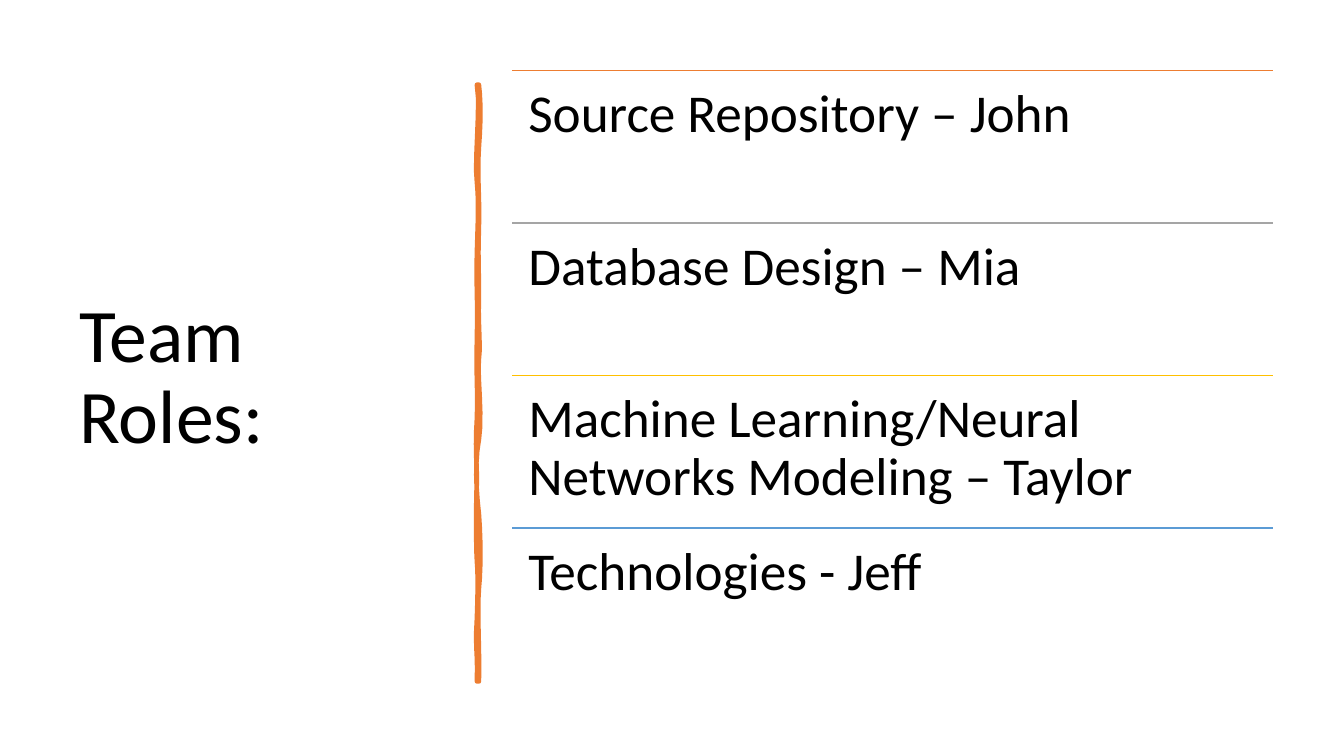
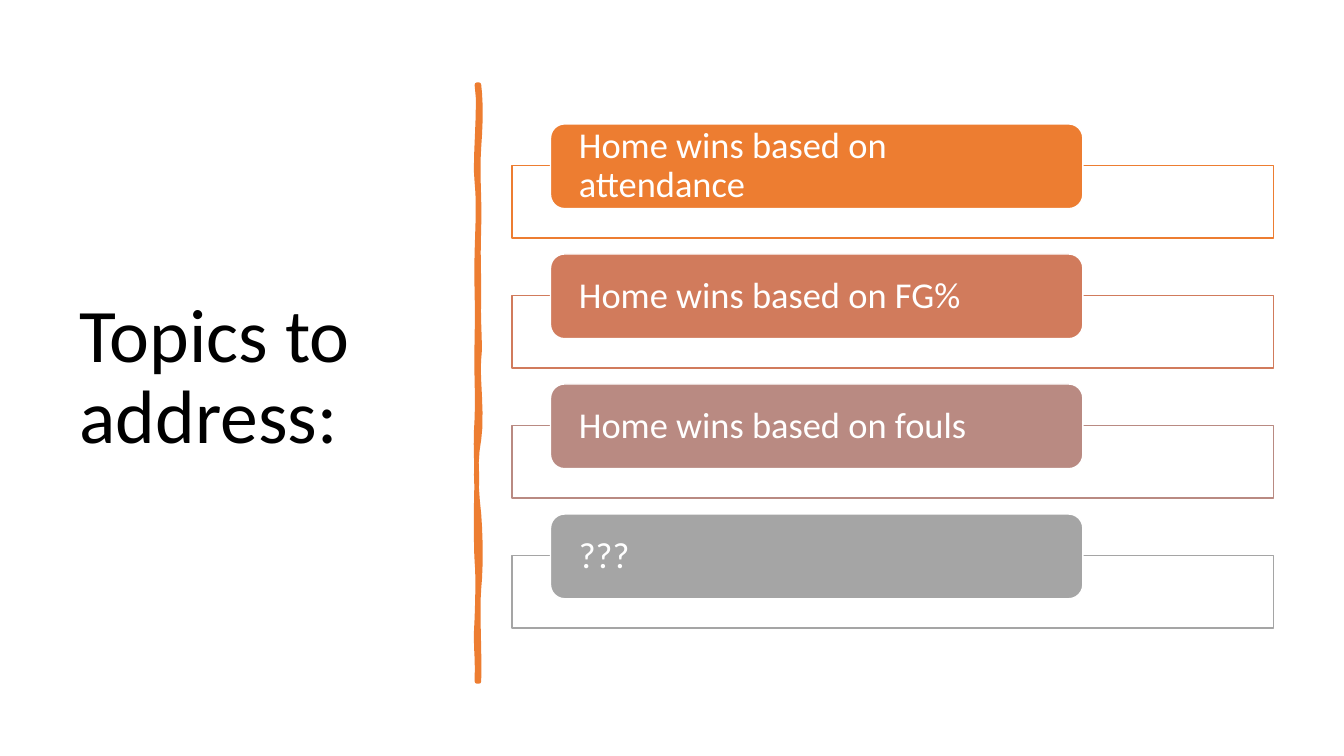
import dataclasses
import typing

import lxml.etree
import pptx
import pptx.dml.color
import pptx.enum.shapes
import pptx.enum.text
import pptx.oxml.ns
import pptx.presentation
import pptx.shapes.autoshape
import pptx.slide
import pptx.util

Inches = pptx.util.Inches
Pt = pptx.util.Pt
Point = tuple[float, float]
Curve = tuple[Point, Point, Point]

COLORS = {
    "white": "FFFFFF",
    "black": "000000",
    "orange": "ED7D31",
    "terracotta": "D17B5C",
    "rose": "B98A82",
    "gray": "A5A5A5",
    "gold": "FFC000",
    "blue": "5B9BD5",
}
FONT = "Calibri"
LINE_SPACING = 0.9
RULE_WIDTH = 1

CONTENT_LEFT = 5.08
CONTENT_WIDTH = 7.55
ROLE_TOP, ROLE_PITCH = 0.7, 1.513
TOPIC_TOP, TOPIC_PITCH = 1.23, 1.29

STROKE_START: Point = (4.75, 0.84)
STROKE_CURVES: list[Curve] = [
    # Right edge, downwards
    ((4.77, 1.02), (4.77, 1.19), (4.75, 1.46)),
    ((4.73, 1.73), (4.76, 1.95), (4.75, 2.26)),
    ((4.74, 2.57), (4.75, 2.62), (4.75, 2.94)),
    ((4.74, 3.25), (4.77, 3.42), (4.75, 3.56)),
    ((4.73, 3.70), (4.79, 4.14), (4.75, 4.36)),
    ((4.71, 4.57), (4.72, 4.84), (4.75, 5.10)),
    ((4.77, 5.36), (4.77, 5.64), (4.75, 5.84)),
    ((4.73, 6.03), (4.76, 6.50), (4.75, 6.76)),
    # Left edge, upwards
    ((4.74, 6.76), (4.73, 6.76), (4.73, 6.76)),
    ((4.74, 6.46), (4.71, 6.44), (4.73, 6.13)),
    ((4.74, 5.83), (4.74, 5.70), (4.73, 5.57)),
    ((4.72, 5.44), (4.72, 4.95), (4.73, 4.77)),
    ((4.73, 4.59), (4.71, 4.45), (4.73, 4.15)),
    ((4.74, 3.86), (4.72, 3.73), (4.73, 3.35)),
    ((4.74, 2.98), (4.72, 2.81), (4.73, 2.50)),
    ((4.74, 2.18), (4.75, 2.00), (4.73, 1.81)),
    ((4.70, 1.63), (4.77, 1.04), (4.73, 0.84)),
]


@dataclasses.dataclass(frozen=True)
class Entry:
    """One row of a slide's list."""

    text: str
    color: str


@dataclasses.dataclass(frozen=True)
class TextStyle:
    """Size, colour, anchor and insets (left, top, right, bottom) of a text."""

    size: float
    color: str
    anchor: pptx.enum.text.MSO_ANCHOR
    insets: tuple[float, float, float, float]


TITLE_STYLE = TextStyle(
    54, "black", pptx.enum.text.MSO_ANCHOR.MIDDLE, (0.1, 0.05, 0.3, 0.05)
)
ROLE_STYLE = TextStyle(
    38, "black", pptx.enum.text.MSO_ANCHOR.TOP, (0.16, 0.16, 0.16, 0.16)
)
TOPIC_STYLE = TextStyle(
    26, "white", pptx.enum.text.MSO_ANCHOR.MIDDLE, (0.24, 0, 0.24, 0)
)

ROLES = [
    Entry("Source Repository – John", "orange"),
    Entry("Database Design – Mia", "gray"),
    Entry("Machine Learning/Neural Networks Modeling – Taylor", "gold"),
    Entry("Technologies - Jeff", "blue"),
]
TOPICS = [
    Entry("Home wins based on attendance", "orange"),
    Entry("Home wins based on FG%", "terracotta"),
    Entry("Home wins based on fouls", "rose"),
    Entry("???", "gray"),
]


def rgb(name: str) -> pptx.dml.color.RGBColor:
    """Return the named colour."""
    return pptx.dml.color.RGBColor.from_string(COLORS[name])


def write_text(
    shape: pptx.shapes.autoshape.Shape, text: str, style: TextStyle
) -> None:
    """Fill a shape with one left-aligned paragraph."""
    frame = shape.text_frame
    frame.word_wrap = True
    frame.vertical_anchor = style.anchor
    left, top, right, bottom = style.insets
    frame.margin_left, frame.margin_top = Inches(left), Inches(top)
    frame.margin_right, frame.margin_bottom = Inches(right), Inches(bottom)
    paragraph = frame.paragraphs[0]
    paragraph.alignment = pptx.enum.text.PP_ALIGN.LEFT
    paragraph.line_spacing = LINE_SPACING
    run = paragraph.add_run()
    run.text = text
    run.font.name = FONT
    run.font.size = Pt(style.size)
    run.font.color.rgb = rgb(style.color)


def add_text(
    slide: pptx.slide.Slide,
    box: tuple[float, float, float, float],
    text: str,
    style: TextStyle,
) -> None:
    """Add a text box at left, top, width, height."""
    write_text(slide.shapes.add_textbox(*map(Inches, box)), text, style)


def paint(
    shape: pptx.shapes.autoshape.Shape, fill: str, line: str, width: float
) -> None:
    """Set a shape's fill and line and remove its shadow."""
    shape.shadow.inherit = False
    shape.fill.solid()
    shape.fill.fore_color.rgb = rgb(fill)
    shape.line.color.rgb = rgb(line)
    shape.line.width = Pt(width)


def add_rule(slide: pptx.slide.Slide, top: float, color: str) -> None:
    """Add a horizontal rule across the content area."""
    rule = slide.shapes.add_connector(
        pptx.enum.shapes.MSO_CONNECTOR.STRAIGHT,
        Inches(CONTENT_LEFT),
        Inches(top),
        Inches(CONTENT_LEFT + CONTENT_WIDTH),
        Inches(top),
    )
    rule.line.color.rgb = rgb(color)
    rule.line.width = Pt(RULE_WIDTH)
    lxml.etree.SubElement(
        rule._element.spPr, pptx.oxml.ns.qn("a:effectLst")
    )


def curve_points(
    start: Point, curves: list[Curve], steps: int = 6
) -> typing.Iterator[Point]:
    """Yield points along a chain of cubic Bezier curves."""
    for first, second, end in curves:
        for step in range(1, steps + 1):
            t = step / steps
            weights = ((1 - t) ** 3, 3 * t * (1 - t) ** 2, 3 * t**2 * (1 - t), t**3)
            corners = (start, first, second, end)
            yield (
                sum(w * corner[0] for w, corner in zip(weights, corners)),
                sum(w * corner[1] for w, corner in zip(weights, corners)),
            )
        start = end


def add_brush_stroke(slide: pptx.slide.Slide) -> None:
    """Add the hand-drawn divider beside the title."""
    builder = slide.shapes.build_freeform(*map(Inches, STROKE_START))
    builder.add_line_segments(
        [(Inches(x), Inches(y)) for x, y in curve_points(STROKE_START, STROKE_CURVES)],
        close=True,
    )
    paint(builder.convert_to_shape(), "orange", "orange", 3.25)


def add_titled_slide(
    presentation: pptx.presentation.Presentation, title: str
) -> pptx.slide.Slide:
    """Add a blank slide with the shared title and divider."""
    slide = presentation.slides.add_slide(presentation.slide_layouts[6])
    slide.background.fill.solid()
    slide.background.fill.fore_color.rgb = rgb("white")
    add_text(slide, (0.69, 0.7, 3.74, 6.11), title, TITLE_STYLE)
    add_brush_stroke(slide)
    return slide


def add_role(slide: pptx.slide.Slide, top: float, role: Entry) -> None:
    """Add a ruled row naming a role."""
    add_rule(slide, top, role.color)
    add_text(
        slide, (CONTENT_LEFT, top, CONTENT_WIDTH, ROLE_PITCH), role.text, ROLE_STYLE
    )


def add_topic(slide: pptx.slide.Slide, top: float, topic: Entry) -> None:
    """Add an outlined frame with a rounded label over its top edge."""
    kinds = pptx.enum.shapes.MSO_SHAPE
    frame = slide.shapes.add_shape(
        kinds.RECTANGLE,
        Inches(CONTENT_LEFT),
        Inches(top + 0.41),
        Inches(CONTENT_WIDTH),
        Inches(0.72),
    )
    paint(frame, "white", topic.color, RULE_WIDTH)
    label = slide.shapes.add_shape(
        kinds.ROUNDED_RECTANGLE,
        Inches(CONTENT_LEFT + 0.38),
        Inches(top),
        Inches(5.28),
        Inches(0.84),
    )
    paint(label, topic.color, "white", RULE_WIDTH)
    write_text(label, topic.text, TOPIC_STYLE)


def main() -> None:
    """Build and save both slides."""
    presentation = pptx.Presentation()
    presentation.slide_width = Inches(13.33)
    presentation.slide_height = Inches(7.5)

    roles_slide = add_titled_slide(presentation, "Team Roles:")
    for index, role in enumerate(ROLES):
        add_role(roles_slide, ROLE_TOP + index * ROLE_PITCH, role)

    topics_slide = add_titled_slide(presentation, "Topics to address:")
    for index, topic in enumerate(TOPICS):
        add_topic(topics_slide, TOPIC_TOP + index * TOPIC_PITCH, topic)

    presentation.save("out.pptx")


main()
